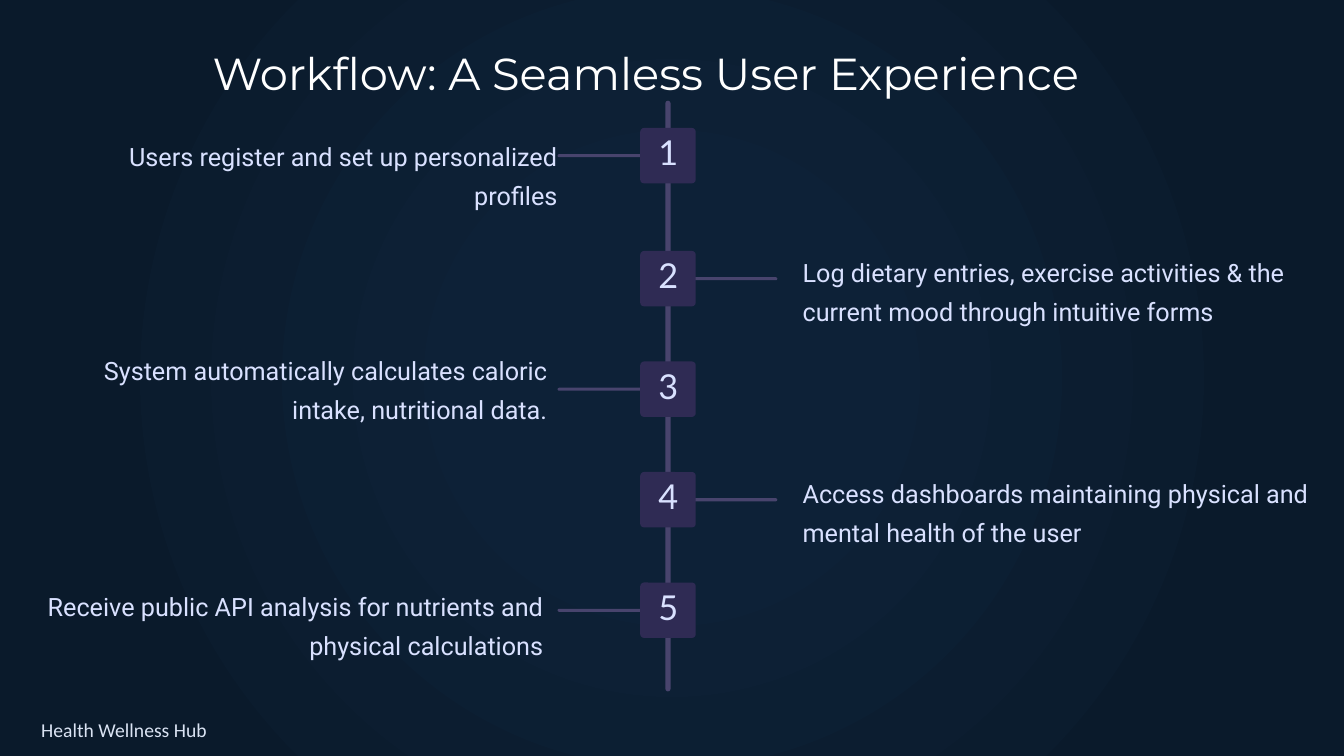
from dataclasses import dataclass

from lxml import etree
from pptx import Presentation
from pptx import util as u
from pptx.dml.color import RGBColor
from pptx.enum import shapes, text
from pptx.oxml import ns
from pptx.slide import Slide


@dataclass(frozen=True)
class Font:
    family: str
    size: float
    color: str
    leading: float | None = None


@dataclass(frozen=True)
class Theme:
    title: Font = Font("Montserrat", 32, "FFFFFF", 51.5)
    number: Font = Font("Lato", 24.5, "D9E1FF", 24.5)
    body: Font = Font("Roboto", 18, "D9E1FF", 28)
    footer: Font = Font("Calibri", 14, "DAE3F3")
    line: str = "48446D"
    badge: str = "2F2B54"
    glow: tuple[tuple[int, str], ...] = (
        (0, "0D2137"), (23, "0D2137"), (69, "0B1C2E"), (97, "0A1A2B"))


@dataclass(frozen=True)
class Box:
    """Left, top, width and height as percentages of the slide."""
    left: float
    top: float
    width: float
    height: float


@dataclass(frozen=True)
class Step:
    caption: str
    left: float
    width: float
    lift: float  # caption top relative to its badge
    on_right: bool = False
    wrap: bool = True


THEME = Theme()
WIDTH, HEIGHT = u.Inches(13.33), u.Inches(7.5)
FIRST_ROW, SECOND_ROW, ROW_PITCH = 16.93, 33.2, 14.62
STEPS = (
    Step("Users register and set up personalized profiles",
         3.15, 38.33, 0.53, wrap=False),
    Step("Log dietary entries, exercise activities & the current mood "
         "through intuitive forms", 59.72, 37.96, -0.4, on_right=True),
    Step("System automatically calculates caloric intake, nutritional data.",
         3.45, 37.28, -2),
    Step("Access dashboards maintaining physical and mental health of the user",
         59.72, 39.01, -0.4, on_right=True),
    Step("Receive public API analysis for nutrients and physical calculations",
         3.15, 37.28, 0),
)


def place(box: Box) -> tuple[int, int, int, int]:
    return (round(WIDTH * box.left / 100), round(HEIGHT * box.top / 100),
            round(WIDTH * box.width / 100), round(HEIGHT * box.height / 100))


def paint_background(slide: Slide, theme: Theme) -> None:
    fill = slide.background.fill
    fill.solid()
    solid = slide.element.find(".//" + ns.qn("p:bgPr"))[0]
    glow = etree.Element(ns.qn("a:gradFill"), rotWithShape="1")
    stops = etree.SubElement(glow, ns.qn("a:gsLst"))
    for position, color in theme.glow:
        stop = etree.SubElement(stops, ns.qn("a:gs"), pos=str(position * 1000))
        etree.SubElement(stop, ns.qn("a:srgbClr"), val=color)
    circle = etree.SubElement(glow, ns.qn("a:path"), {"path": "circle"})
    etree.SubElement(circle, ns.qn("a:fillToRect"),
                     {side: "50000" for side in "ltrb"})
    solid.getparent().replace(solid, glow)


def add_bar(slide: Slide, box: Box, color: str, rounding: float = 0.5) -> None:
    bar = slide.shapes.add_shape(shapes.MSO_SHAPE.ROUNDED_RECTANGLE, *place(box))
    bar.adjustments[0] = rounding
    bar.shadow.inherit = False
    bar.fill.solid()
    bar.fill.fore_color.rgb = RGBColor.from_string(color)
    bar.line.fill.background()


def add_label(slide: Slide, box: Box, wording: str, font: Font,
              align: text.PP_ALIGN = text.PP_ALIGN.LEFT,
              wrap: bool = True, inset: bool = False) -> None:
    frame = slide.shapes.add_textbox(*place(box)).text_frame
    frame.word_wrap = wrap
    if not inset:
        frame.margin_left = frame.margin_right = 0
        frame.margin_top = frame.margin_bottom = 0
    paragraph = frame.paragraphs[0]
    paragraph.alignment = align
    if font.leading:
        paragraph.line_spacing = u.Pt(font.leading)
    run = paragraph.add_run()
    run.text = wording
    run.font.name = font.family
    run.font.size = u.Pt(font.size)
    run.font.color.rgb = RGBColor.from_string(font.color)


def add_step(slide: Slide, number: int, step: Step, theme: Theme) -> None:
    top = FIRST_ROW if number == 1 else SECOND_ROW + ROW_PITCH * (number - 2)
    branch_left = 51.46 if step.on_right else 41.49
    side = text.PP_ALIGN.LEFT if step.on_right else text.PP_ALIGN.RIGHT
    add_bar(slide, Box(branch_left, top + 3.47, 6.38, 0.4), theme.line)
    add_bar(slide, Box(47.64, top, 4.13, 7.33), theme.badge, 0.067)
    add_label(slide, Box(48.99, top + 1.37, 1.35, 4.53), str(number),
              theme.number, text.PP_ALIGN.CENTER, wrap=False)
    add_label(slide, Box(step.left, top + step.lift, step.width, 10.4),
              step.caption, theme.body, side, step.wrap)


def main() -> None:
    deck = Presentation()
    deck.slide_width, deck.slide_height = WIDTH, HEIGHT
    slide = deck.slides.add_slide(deck.slide_layouts[6])
    paint_background(slide, THEME)

    # Title and footer
    add_label(slide, Box(15.08, 2.93, 74.87, 10.27),
              "Workflow: A Seamless User Experience", THEME.title, inset=True)
    add_label(slide, Box(2.33, 94.27, 50.19, 4.53),
              "Health Wellness Hub", THEME.footer, inset=True)

    # Timeline spine with its numbered steps
    add_bar(slide, Box(49.51, 13.33, 0.38, 78.13), THEME.line)
    for number, step in enumerate(STEPS, start=1):
        add_step(slide, number, step, THEME)

    deck.save("out.pptx")


if __name__ == "__main__":
    main()
